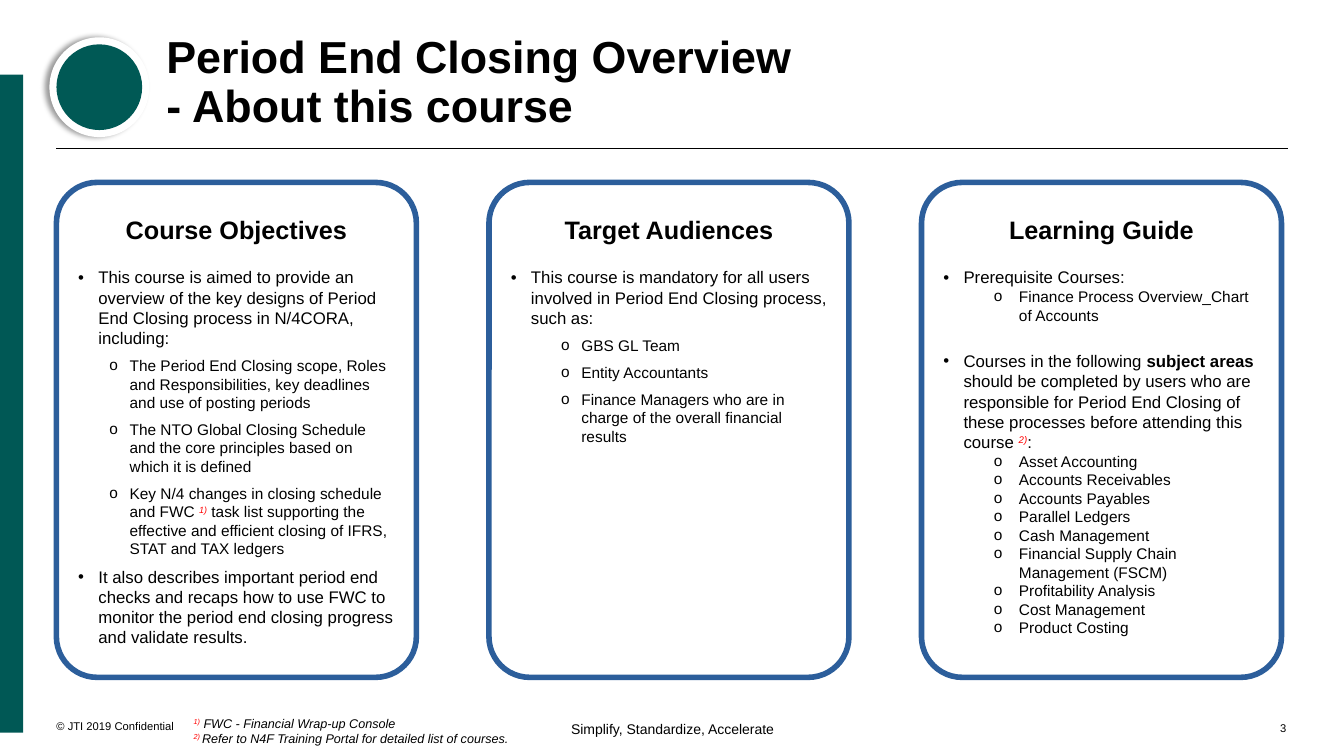
from lxml.etree import SubElement
from pptx import Presentation
from pptx.dml.color import RGBColor
from pptx.enum.shapes import MSO_CONNECTOR, MSO_SHAPE as SHAPE
from pptx.enum.text import MSO_ANCHOR as ANCHOR, MSO_AUTO_SIZE, PP_ALIGN as ALIGN
from pptx.oxml.ns import qn
from pptx.util import Emu, Pt

PX = 9144  # 100 px to the inch
BLACK, WHITE, RED = "000000", "FFFFFF", "FF0000"
BAND_GREEN, BADGE_GREEN, CARD_BLUE = "005855", "005955", "2C5E9B"
MARK = {"color": RED, "italic": True, "baseline": 30000}

CARD_W, CARD_H, CARD_STEP = 357, 491, 429
HEADING, BULLET, SUB = "heading", "bullet", "sub"
SUB_WIDE, SUB_TIGHT, BULLET_APART = "sub wide", "sub tight", "bullet apart"
# kind: size, level, bullet, left margin, hanging, space before
KINDS = {
    HEADING: (18, 0, None, 0, 0, 0),
    BULLET: (12, 1, "•", 20, 20, 6),
    BULLET_APART: (12, 1, "•", 20, 20, 19),
    SUB: (11, 2, "o", 51, 20, 6),
    SUB_WIDE: (11, 2, "o", 70, 20, 6),
    SUB_TIGHT: (11, 2, "o", 75, 25, 0),
}

CARDS = [
    [
        (HEADING, "Course Objectives"),
        (BULLET, "This course is aimed to provide an overview of the key designs of "
                 "Period End Closing process in N/4CORA, including:"),
        (SUB, "The Period End Closing scope, Roles and Responsibilities, key deadlines "
              "and use of posting periods"),
        (SUB, "The NTO Global Closing Schedule and the core principles based on which "
              "it is defined"),
        (SUB, "Key N/4 changes in closing schedule and FWC ", ("1)", MARK),
         " task list supporting the effective and efficient closing of IFRS, STAT and "
         "TAX ledgers"),
        (BULLET, "It also describes important period end checks and recaps how to use "
                 "FWC to monitor the period end closing progress and validate results."),
    ],
    [
        (HEADING, "Target Audiences"),
        (BULLET, "This course is mandatory for all users involved in Period End Closing "
                 "process, such as:"),
        (SUB_WIDE, "GBS GL Team"),
        (SUB_WIDE, "Entity Accountants"),
        (SUB_WIDE, "Finance Managers who are in charge of the overall financial results"),
    ],
    [
        (HEADING, "Learning Guide"),
        (BULLET, "Prerequisite Courses:"),
        (SUB_TIGHT, "Finance Process Overview_Chart of Accounts"),
        (BULLET_APART, "Courses in the following ", ("subject areas ", {"bold": True}),
         "should be completed by users who are responsible for Period End Closing of "
         "these processes before attending this course ", ("2)", MARK), ":"),
        *((SUB_TIGHT, area) for area in (
            "Asset Accounting", "Accounts Receivables", "Accounts Payables",
            "Parallel Ledgers", "Cash Management",
            "Financial Supply Chain Management (FSCM)", "Profitability Analysis",
            "Cost Management", "Product Costing")),
    ],
]


def px(*lengths):
    return [Emu(length * PX) for length in lengths]


def rgb(value):
    return RGBColor.from_string(value)


def set_all(target, **values):
    for name, value in values.items():
        setattr(target, name, value)


def add_runs(paragraph, parts, size, **base):
    """Add runs; a part is a string or a (string, format) pair."""
    for part in parts:
        text, own = (part, {}) if isinstance(part, str) else part
        style = {"color": BLACK, **base, **own}
        run = paragraph.add_run()
        run.text = text
        run.font.color.rgb = rgb(style.pop("color"))
        baseline = style.pop("baseline", None)
        set_all(run.font, name="Arial", size=Pt(size), **style)
        if baseline:
            run._r.get_or_add_rPr().set("baseline", str(baseline))


def set_frame(frame, anchor, insets=(0, 0, 0, 0)):
    left, top, right, bottom = px(*insets)
    set_all(frame, word_wrap=True, auto_size=MSO_AUTO_SIZE.NONE, vertical_anchor=anchor,
            margin_left=left, margin_top=top, margin_right=right, margin_bottom=bottom)


def add_label(slide, box, lines, size, align=ALIGN.LEFT, anchor=ANCHOR.TOP, **style):
    frame = slide.shapes.add_textbox(*px(*box)).text_frame
    set_frame(frame, anchor)
    for number, parts in enumerate(lines):
        paragraph = frame.add_paragraph() if number else frame.paragraphs[0]
        paragraph.alignment = align
        add_runs(paragraph, parts, size, **style)


def add_filled(shapes, preset, box, fill):
    shape = shapes.add_shape(preset, *px(*box))
    shape.shadow.inherit = False
    shape.fill.solid()
    shape.fill.fore_color.rgb = rgb(fill)
    shape.line.fill.background()
    return shape


def add_badge(slide, left, top, size):
    badge = slide.shapes.add_group_shape().shapes
    rim = add_filled(badge, SHAPE.OVAL, (left, top, size, size), WHITE)
    effects = rim._element.spPr.find(qn("a:effectLst"))
    shadow = SubElement(effects, qn("a:outerShdw"), blurRad=str(Pt(4)), dist=str(Pt(3)),
                        dir="10800000", algn="r", rotWithShape="0")
    tone = SubElement(shadow, qn("a:srgbClr"), val=BLACK)
    SubElement(tone, qn("a:alpha"), val="40000")
    inner = size - 14
    add_filled(badge, SHAPE.OVAL, (left + 7, top + 7, inner, inner), BADGE_GREEN)


def add_header(slide, left, top, width):
    add_filled(slide.shapes, SHAPE.RECTANGLE, (0, 74, 23, 653), BAND_GREEN)
    add_badge(slide, left - 7, top + 14, 99)
    title = slide.shapes.title
    place = px(left + 109, top, 974, 108)
    set_all(title, **dict(zip(("left", "top", "width", "height"), place)))
    set_frame(title.text_frame, ANCHOR.BOTTOM)
    heading = title.text_frame.paragraphs[0]
    set_all(heading, alignment=ALIGN.LEFT, line_spacing=0.9)
    add_runs(heading, ["Period End Closing Overview"], 32, bold=True)
    heading.add_line_break()
    add_runs(heading, ["- About this course"], 32, bold=True)
    rule = slide.shapes.add_connector(
        MSO_CONNECTOR.STRAIGHT, *px(left, top + 124, left + width, top + 124))
    rule.line.color.rgb = rgb(BLACK)
    rule.line.width = Pt(0.75)
    SubElement(rule._element.spPr, qn("a:effectLst"))


def add_card(slide, box, content):
    card = add_filled(slide.shapes, SHAPE.ROUNDED_RECTANGLE, box, WHITE)
    card.adjustments[0] = 0.113
    card.line.color.rgb = rgb(CARD_BLUE)
    card.line.width = Pt(4)
    frame = card.text_frame
    set_frame(frame, ANCHOR.TOP, (10, 20, 10, 5))
    for number, (kind, *parts) in enumerate(content):
        size, level, bullet, margin, hanging, before = KINDS[kind]
        paragraph = frame.add_paragraph() if number else frame.paragraphs[0]
        is_heading = kind == HEADING
        set_all(paragraph, level=level, space_before=Pt(before),
                space_after=Pt(10 if is_heading else 0),
                alignment=ALIGN.CENTER if is_heading else ALIGN.LEFT)
        if bullet:
            properties = paragraph._p.get_or_add_pPr()
            properties.set("marL", str(margin * PX))
            properties.set("indent", str(-hanging * PX))
            SubElement(properties, qn("a:buFont"), typeface="Arial")
            SubElement(properties, qn("a:buChar"), char=bullet)
        add_runs(paragraph, parts, size, bold=is_heading)


def add_footer(slide, left, top):
    add_label(slide, (left, top, 197, 40), [["© JTI 2019 Confidential"]], 8,
              anchor=ANCHOR.BOTTOM)
    add_label(slide, (left + 136, top + 23, 339, 40),
              [[("1)", MARK), " FWC - Financial Wrap-up Console"],
               [("2) ", MARK), "Refer to N4F Training Portal for detailed list of courses."]],
              9, italic=True)
    add_label(slide, (left + 458, top + 28, 306, 30),
              [["Simplify, Standardize, Accelerate"]], 10, ALIGN.CENTER)
    add_label(slide, (left + 1177, top + 2, 43, 40), [["3"]], 8, ALIGN.RIGHT, ANCHOR.BOTTOM)


def main():
    deck = Presentation()
    deck.slide_width, deck.slide_height = px(1333, 750)
    slide = deck.slides.add_slide(deck.slide_layouts[5])
    add_header(slide, 56, 23, 1221)
    for column, content in enumerate(CARDS):
        add_card(slide, (56 + column * CARD_STEP, 181, CARD_W, CARD_H), content)
    add_footer(slide, 56, 687)
    deck.save("out.pptx")


if __name__ == "__main__":
    main()
